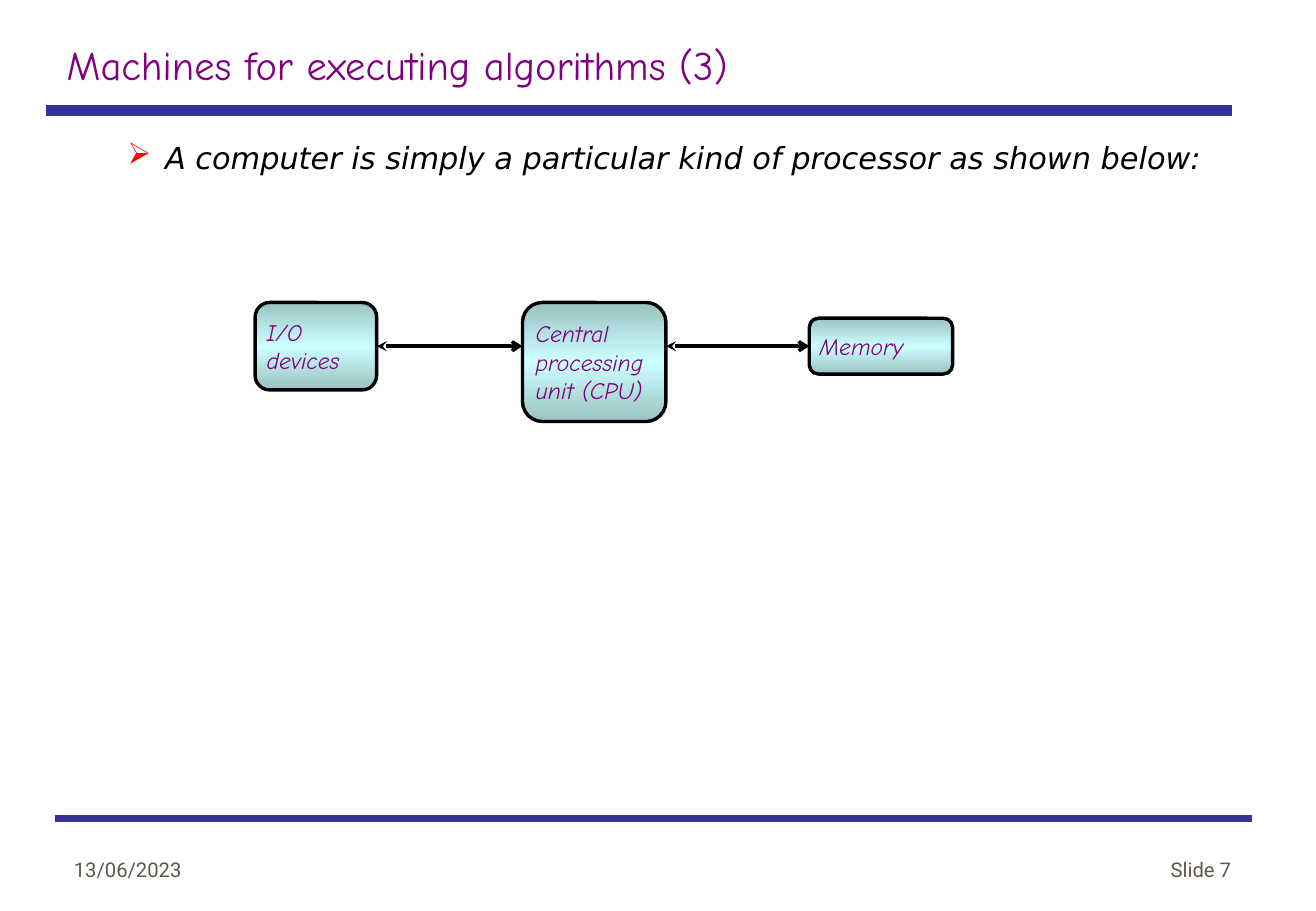
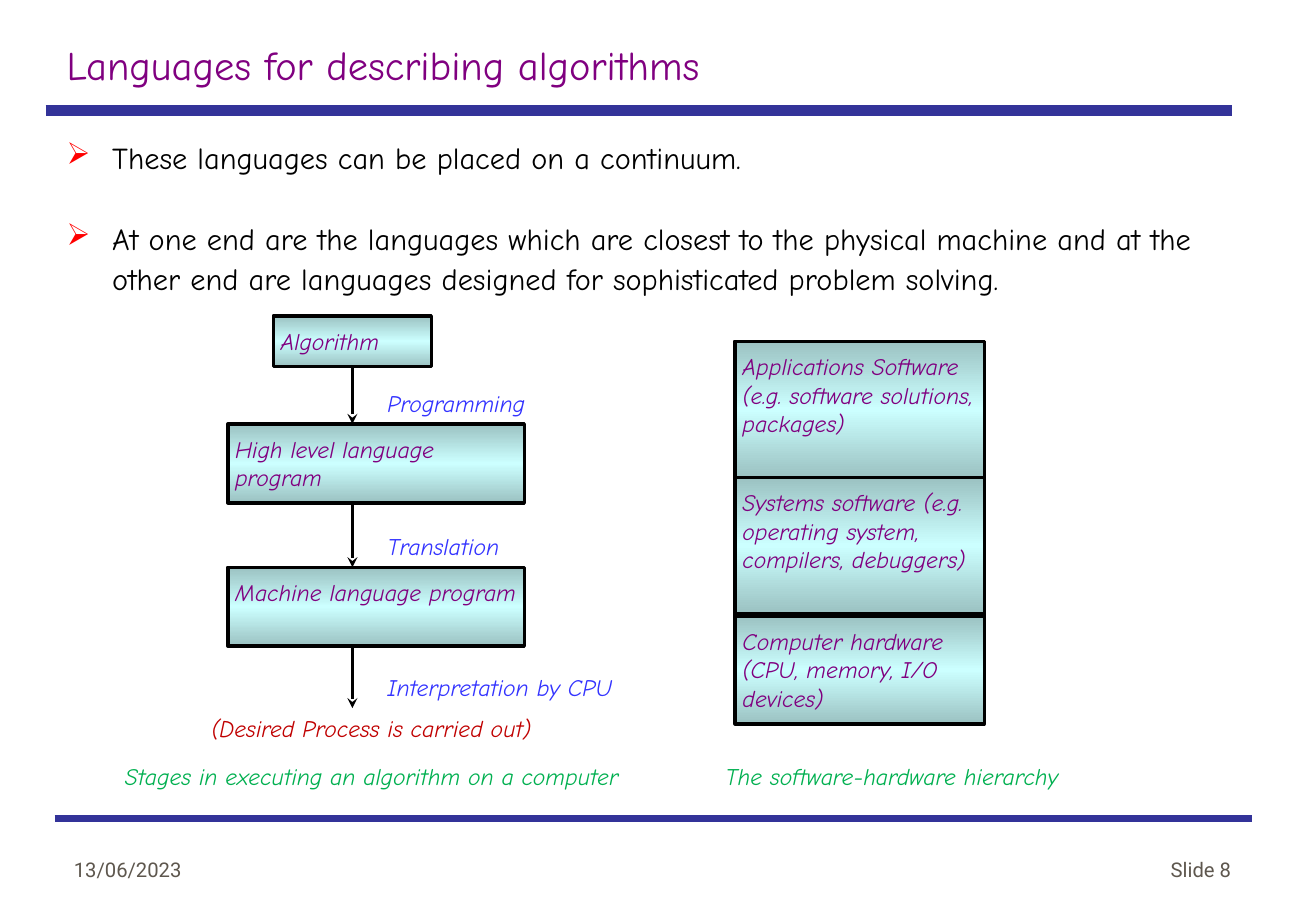
import copy
from dataclasses import dataclass
from typing import Any, Optional

import pptx
import pptx.dml.color
import pptx.enum.shapes
import pptx.enum.text
import pptx.oxml
import pptx.oxml.ns
import pptx.util

SHAPE = pptx.enum.shapes.MSO_SHAPE
ALIGN = pptx.enum.text.PP_ALIGN
ANCHOR = pptx.enum.text.MSO_ANCHOR
FIT = pptx.enum.text.MSO_AUTO_SIZE
qn = pptx.oxml.ns.qn
CELL = 0.25  # inches per grid column and row
COLS, ROWS = 43.32, 30


@dataclass(frozen=True)
class Theme:
    hand: str = "Comic Neue"
    plain: str = "DejaVu Sans"
    small: str = "Roboto"
    title: str = "800080"
    rule: str = "333399"
    ink: str = "000000"
    mark: str = "FF0000"
    foot: str = "5E574E"
    step: str = "3333FF"
    goal: str = "C00000"
    legend: str = "00B050"
    edge: str = "9BC2C2"
    glow: str = "CCFFFF"
    title_pt: int = 24
    body_pt: int = 18
    label_pt: int = 14
    foot_pt: int = 12


THEME = Theme()


@dataclass(frozen=True)
class Area:
    """Left, top, width and height in grid cells."""
    col: float
    row: float
    wide: float
    high: float

    @property
    def end(self) -> float:
        return self.col + self.wide

    @property
    def base(self) -> float:
        return self.row + self.high


@dataclass(frozen=True)
class Style:
    font: str
    size: int
    color: str
    slant: bool = False


@dataclass(frozen=True)
class Node:
    text: str
    area: Area


TITLE = Style(THEME.hand, THEME.title_pt, THEME.title)
BODY = Style(THEME.hand, THEME.body_pt, THEME.ink)
LEAD = Style(THEME.plain, THEME.body_pt, THEME.ink, True)
FOOT = Style(THEME.small, THEME.foot_pt, THEME.foot)


def label(color: str) -> Style:
    return Style(THEME.hand, THEME.label_pt, color, True)


def cells(count: float) -> pptx.util.Emu:
    return pptx.util.Inches(count * CELL)


def place(area: Area) -> list[pptx.util.Emu]:
    return [cells(n) for n in (area.col, area.row, area.wide, area.high)]


def paint(text: str) -> pptx.dml.color.RGBColor:
    return pptx.dml.color.RGBColor.from_string(text)


def dress(para: Any, style: Style) -> None:
    font = para.font
    font.name, font.size = style.font, pptx.util.Pt(style.size)
    font.italic = style.slant
    font.color.rgb = paint(style.color)


def write(slide: Any, text: str, area: Area, style: Style,
          align: Any = ALIGN.LEFT, anchor: Any = ANCHOR.TOP,
          wrap: bool = True) -> None:
    frame = slide.shapes.add_textbox(*place(area)).text_frame
    frame.word_wrap, frame.vertical_anchor = wrap, anchor
    if not wrap:
        frame.auto_size = FIT.SHAPE_TO_FIT_TEXT
    para = frame.paragraphs[0]
    para.text, para.alignment = text, align
    dress(para, style)


def bullets(slide: Any, lines: list[str], area: Area, style: Style,
            left: float, hang: float) -> None:
    """Write arrow bullets; left and hang are indents in cells."""
    frame = slide.shapes.add_textbox(*place(area)).text_frame
    frame.word_wrap = True
    for rank, line in enumerate(lines):
        para = frame.add_paragraph() if rank else frame.paragraphs[0]
        para.text, para.line_spacing = line, 1.1
        if rank:
            para.space_before = pptx.util.Pt(24)
        props = para._p.get_or_add_pPr()
        props.set("marL", str(cells(left)))
        props.set("indent", str(-cells(hang)))
        tint = pptx.oxml.parse_xml(
            f'<a:buClr {pptx.oxml.ns.nsdecls("a")}>'
            f'<a:srgbClr val="{THEME.mark}"/></a:buClr>')
        sign = pptx.oxml.parse_xml(
            f'<a:buChar {pptx.oxml.ns.nsdecls("a")} char="➢"/>')
        props.extend([tint, sign])
        dress(para, style)


def shade(shape: Any) -> None:
    """Fill from edge to glow and back, top to bottom."""
    shape.fill.gradient()
    shape.fill.gradient_angle = 90
    stops = shape._element.spPr.find(".//" + qn("a:gsLst"))
    stops.append(copy.deepcopy(stops[-1]))
    tones = (THEME.edge, THEME.glow, THEME.edge)
    for rank, (stop, tone) in enumerate(zip(shape.fill.gradient_stops, tones)):
        stop.position = rank / 2
        stop.color.rgb = paint(tone)


def block(slide: Any, node: Node, kind: Any = SHAPE.RECTANGLE) -> Any:
    shape = slide.shapes.add_shape(kind, *place(node.area))
    shape.shadow.inherit = False
    shade(shape)
    shape.line.color.rgb = paint(THEME.ink)
    shape.line.width = pptx.util.Pt(2)
    if node.text:
        frame = shape.text_frame
        frame.word_wrap, frame.vertical_anchor = True, ANCHOR.TOP
        frame.margin_left = frame.margin_right = pptx.util.Inches(0.06)
        frame.margin_top = frame.margin_bottom = pptx.util.Inches(0.09)
        para = frame.paragraphs[0]
        para.text, para.alignment = node.text, ALIGN.LEFT
        dress(para, label(THEME.title))
    return shape


def stroke(slide: Any, start: tuple[float, float], stop: tuple[float, float],
           color: str = THEME.ink, width: float = 2,
           head: Optional[str] = None, tail: Optional[str] = None) -> Any:
    line = slide.shapes.add_connector(
        pptx.enum.shapes.MSO_CONNECTOR.STRAIGHT,
        *(cells(n) for n in start + stop))
    line.line.color.rgb = paint(color)
    line.line.width = pptx.util.Pt(width)
    props = line._element.spPr
    for tag, kind in (("a:headEnd", head), ("a:tailEnd", tail)):
        if kind:
            end = props.find(qn("a:ln")).makeelement(qn(tag), {"type": kind})
            props.find(qn("a:ln")).append(end)
    props.append(props.makeelement(qn("a:effectLst"), {}))
    return line


def begin(deck: Any, title: str, number: int) -> Any:
    """Add a slide with its title, rules and footer."""
    slide = deck.slides.add_slide(deck.slide_layouts[6])
    stroke(slide, (1.5, 3.64), (40.56, 3.64), THEME.rule, 6)
    stroke(slide, (1.8, 26.96), (41.2, 26.96), THEME.rule, 4.5)
    write(slide, title, Area(1.8, 1.12, 36.84, 2), TITLE)
    write(slide, "13/06/2023", Area(2.04, 27.24, 9.04, 2), FOOT,
          anchor=ANCHOR.BOTTOM)
    write(slide, f"Slide {number}", Area(31.88, 27.24, 9.04, 2), FOOT,
          ALIGN.RIGHT, ANCHOR.BOTTOM)
    return slide


def machine(deck: Any) -> None:
    slide = begin(deck, "Machines for executing algorithms (3)", 7)
    bullets(slide, ["A computer is simply a particular kind of processor "
                    "as shown below:"],
            Area(2.12, 4.28, 38.76, 2.52), LEAD, 2.92, 1.24)
    nodes = [
        Node("I/O devices", Area(8.4, 9.96, 4, 2.88)),
        Node("Central processing unit (CPU)", Area(17.2, 9.96, 4.72, 3.92)),
        Node("Memory", Area(26.64, 10.48, 4.72, 1.84)),
    ]
    shapes = [block(slide, node, SHAPE.ROUNDED_RECTANGLE) for node in nodes]
    axis = 11.4
    links = [stroke(slide, (one.area.end, axis), (two.area.col, axis),
                    head="stealth", tail="arrow")
             for one, two in zip(nodes, nodes[1:])]
    links[0].begin_connect(shapes[0], 3)
    links[1].end_connect(shapes[2], 1)


def stages(slide: Any) -> None:
    """Draw the path from algorithm to process."""
    nodes = [
        Node("Algorithm", Area(9, 10.4, 5.2, 1.68)),
        Node("High level language program", Area(7.5, 13.96, 9.76, 2.6)),
        Node("Machine language program", Area(7.5, 18.68, 9.76, 2.6)),
    ]
    goal = Node("(Desired Process is carried out)",
                Area(6.56, 23.32, 12.44, 1.36))
    shapes = [block(slide, node) for node in nodes]
    axis, high = 11.6, 1.36
    steps = (("Programming", 5.48), ("Translation", 4.96),
             ("Interpretation by CPU", 9.04))
    links = []
    for node, after, (text, wide) in zip(nodes, nodes[1:] + [goal], steps):
        tip = after.area.row
        links.append(stroke(slide, (axis, tip), (axis, node.area.base),
                            head="stealth"))
        write(slide, text, Area(12.36, tip - high, wide, high),
              label(THEME.step), wrap=False)
    links[0].end_connect(shapes[0], 2)
    write(slide, goal.text, goal.area, label(THEME.goal), wrap=False)


def layers(slide: Any) -> None:
    """Draw the stack of software on hardware."""
    left, top, wide, high = 24.2, 11.24, 8.2, 4.48
    for node in (
        Node("", Area(left, top, wide, 12.52)),
        Node("Applications Software (e.g. software solutions, packages)",
             Area(left, top, wide, high)),
        Node("Systems software (e.g. operating system, compilers, debuggers)",
             Area(left, top + high, wide, high)),
        Node("Computer hardware (CPU, memory, I/O devices)",
             Area(left, 20.28, wide, 3.56)),
    ):
        block(slide, node)


def tongues(deck: Any) -> None:
    slide = begin(deck, "Languages for describing algorithms", 8)
    bullets(slide, [
        "These languages can be placed on a continuum.",
        "At one end are the languages which are closest to the physical "
        "machine and at the other end are languages designed for "
        "sophisticated problem solving.",
    ], Area(1.8, 4.28, 38.76, 7.24), BODY, 1.5, 1.5)
    stages(slide)
    layers(slide)
    for text, col, wide in (
        ("Stages in executing an algorithm on a computer", 3.72, 18.12),
        ("The software-hardware hierarchy", 23.48, 13.28),
    ):
        write(slide, text, Area(col, 24.88, wide, 1.36),
              label(THEME.legend), wrap=False)


def main() -> None:
    deck = pptx.Presentation()
    deck.slide_width, deck.slide_height = cells(COLS), cells(ROWS)
    machine(deck)
    tongues(deck)
    deck.save("out.pptx")


if __name__ == "__main__":
    main()
